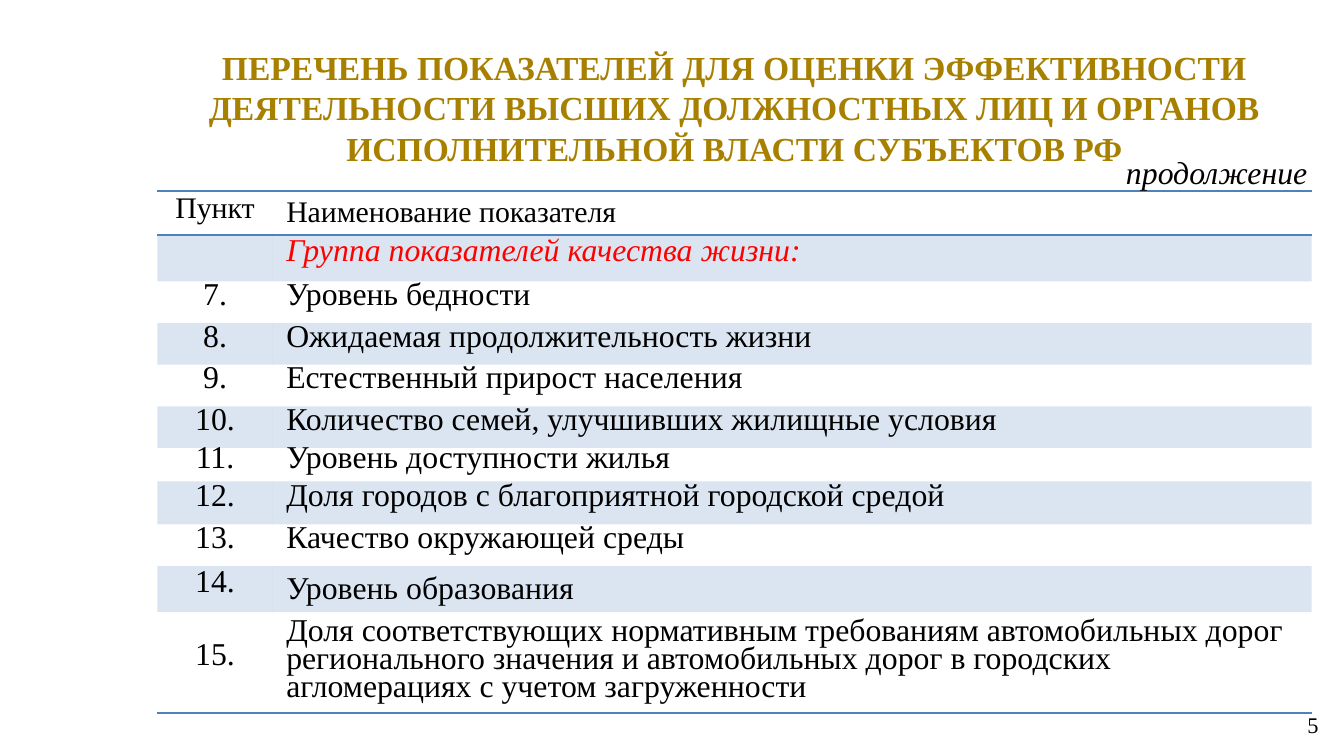
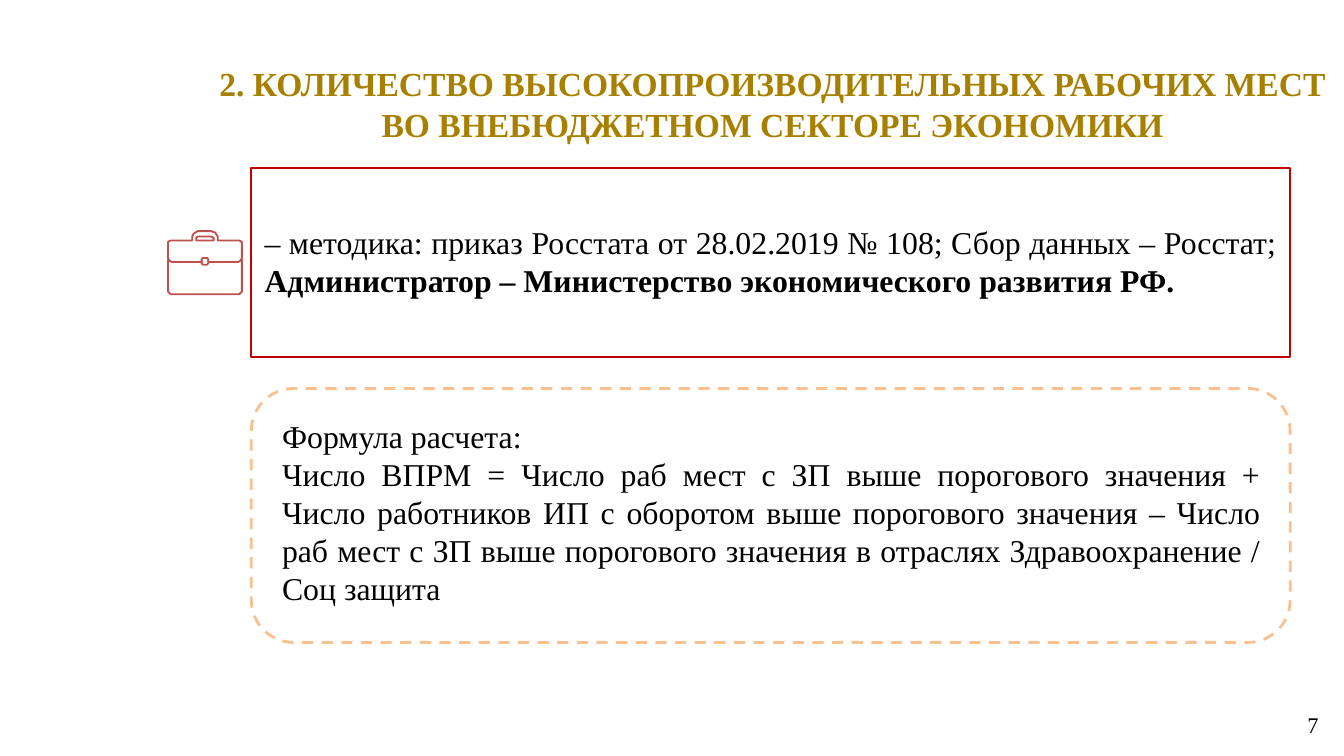
from dataclasses import dataclass

from lxml import etree
from pptx import Presentation
from pptx.dml.color import RGBColor
from pptx.enum.dml import MSO_LINE
from pptx.enum.shapes import MSO_SHAPE
from pptx.enum.text import MSO_ANCHOR, MSO_AUTO_SIZE, PP_ALIGN
from pptx.oxml.ns import qn
from pptx.util import Inches, Pt

LEFT, CENTER, JUSTIFY = PP_ALIGN.LEFT, PP_ALIGN.CENTER, PP_ALIGN.JUSTIFY
TOP, MIDDLE = MSO_ANCHOR.TOP, MSO_ANCHOR.MIDDLE
FIT = MSO_AUTO_SIZE.SHAPE_TO_FIT_TEXT
RECT, ROUND = MSO_SHAPE.RECTANGLE, MSO_SHAPE.ROUNDED_RECTANGLE
DASH = MSO_LINE.DASH
NO_STYLE = "{2D5ABB26-0587-4C30-8999-92F81FD0307C}"


@dataclass(frozen=True)
class Theme:
    font: str = "Times New Roman"
    gold: str = "A88000"
    black: str = "000000"
    white: str = "FFFFFF"
    red: str = "FF0000"
    frame: str = "C00000"
    peach: str = "FAC090"
    icon: str = "C0504D"
    blue: str = "4F81BD"
    tint: int = 20
    title: int = 18
    body: int = 17
    head: int = 16
    page: int = 12


THEME = Theme()

ROWS = [
    ("", "Группа показателей качества жизни:"),
    ("7.", "Уровень бедности"),
    ("8.", "Ожидаемая продолжительность жизни"),
    ("9.", "Естественный прирост населения"),
    ("10.", "Количество семей, улучшивших жилищные условия"),
    ("11.", "Уровень доступности жилья"),
    ("12.", "Доля городов с благоприятной городской средой"),
    ("13.", "Качество окружающей среды"),
    ("14.", "Уровень образования"),
    ("15.", "Доля соответствующих нормативным требованиям автомобильных дорог "
            "регионального значения и автомобильных дорог в городских "
            "агломерациях с учетом загруженности"),
]
HEIGHTS = [0.33, 0.34] + [0.31] * 4 + [0.25, 0.32, 0.31, 0.34, 0.75]

LID = [(178, 179), (162, 179), (162, 176), (160, 173), (157, 172),
       (147, 172), (144, 174), (143, 176), (143, 179), (127, 179),
       (125, 180), (125, 192), (126, 194), (128, 195), (150, 195),
       (150, 193), (151, 192), (154, 192), (155, 193), (155, 195),
       (177, 195), (179, 194), (180, 192), (180, 180)]
GRIP = [(159, 179), (146, 179), (146, 177), (147, 176), (157, 176),
        (159, 177)]
CLASP = [(155, 194), (155, 196), (154, 197), (151, 197), (150, 196),
         (150, 194)]
CASE = [(125, 193), (125, 217), (127, 219), (178, 219), (180, 217),
        (180, 193)]


def style(para, size, color=THEME.black, align=LEFT, bold=False,
          italic=False):
    para.alignment = align
    font = para.font
    font.name, font.size = THEME.font, Pt(size)
    font.bold, font.italic = bold, italic
    font.color.rgb = RGBColor.from_string(color)


def label(slide, box, paras, size, pad=(0.1, 0.05), grow=True, wrap=True,
          **look):
    frame = slide.shapes.add_textbox(*map(Inches, box)).text_frame
    frame.word_wrap = wrap
    frame.margin_left = frame.margin_right = Inches(pad[0])
    frame.margin_top = frame.margin_bottom = Inches(pad[1])
    if grow:
        frame.auto_size = FIT
    for i, runs in enumerate(paras):
        para = frame.add_paragraph() if i else frame.paragraphs[0]
        for text, bold in runs:
            run = para.add_run()
            run.text = text
            if bold:
                run.font.bold = True
        style(para, size, **look)


def title(slide, box, text):
    label(slide, box, [[(text, False)]], THEME.title, pad=(0.07, 0.04),
          grow=False, color=THEME.gold, align=CENTER, bold=True)


def number(slide, page):
    label(slide, (9.63, 5.24, 0.47, 0.3), [[(page, False)]], THEME.page)


def stroke(shape, color, width):
    shape.shadow.inherit = False
    shape.line.color.rgb = RGBColor.from_string(color)
    shape.line.width = Pt(width)


def panel(slide, kind, box, color, width, dash=None):
    shape = slide.shapes.add_shape(kind, *map(Inches, box))
    shape.fill.solid()
    shape.fill.fore_color.rgb = RGBColor.from_string(THEME.white)
    stroke(shape, color, width)
    if dash:
        shape.line.dash_style = dash


def outline(slide, paths, close):
    first, *rest = paths
    pen = slide.shapes.build_freeform(*first[0], scale=Inches(0.01))
    pen.add_line_segments(first[1:], close=close)
    for path in rest:
        pen.move_to(*path[0])
        pen.add_line_segments(path[1:], close=close)
    shape = pen.convert_to_shape()
    shape.fill.background()
    stroke(shape, THEME.icon, 1)


def border(cell, *sides):
    props = cell._tc.get_or_add_tcPr()
    for side in sides:
        line = etree.SubElement(props, qn("a:" + side), w=str(Pt(1)))
        fill = etree.SubElement(line, qn("a:solidFill"))
        etree.SubElement(fill, qn("a:srgbClr"), val=THEME.blue)


def shade(cell, tinted):
    if not tinted:
        cell.fill.background()
        return
    cell.fill.solid()
    cell.fill.fore_color.rgb = RGBColor.from_string(THEME.blue)
    color = next(cell._tc.tcPr.find(qn("a:solidFill")).iter(qn("a:srgbClr")))
    etree.SubElement(color, qn("a:alpha"), val=str(THEME.tint * 1000))


def write(cell, text, size, space=None, anchor=MIDDLE, **look):
    cell.margin_left = cell.margin_right = Inches(0.1)
    cell.margin_top = cell.margin_bottom = Inches(0.04)
    cell.vertical_anchor = anchor
    para = cell.text_frame.paragraphs[0]
    if text:
        para.text = text
    if space:
        para.line_spacing = Pt(space)
    style(para, size, **look)


def grid(slide):
    last = len(ROWS)
    frame = slide.shapes.add_table(
        last + 1, 2, Inches(1.17), Inches(1.42), Inches(8.59),
        Inches(sum(HEIGHTS)))
    next(frame.element.iter(qn("a:tableStyleId"))).text = NO_STYLE
    table = frame.table
    table.first_row = table.horz_banding = False
    for col, width in zip(table.columns, (0.86, 7.73)):
        col.width = Inches(width)
    for row, height in zip(table.rows, HEIGHTS):
        row.height = Inches(height)

    write(table.cell(0, 0), "Пункт", THEME.head, 13, align=CENTER)
    write(table.cell(0, 1), "Наименование показателя", THEME.head,
          anchor=TOP)
    spaces = {9: None, last: 15}
    for i, (point, name) in enumerate(ROWS, 1):
        group = i == 1
        write(table.cell(i, 0), point, THEME.body, 11, align=CENTER)
        write(table.cell(i, 1), name, THEME.body, spaces.get(i, 11),
              color=THEME.red if group else THEME.black, italic=group)

    edges = {0: ("lnT", "lnB"), last: ("lnB",)}
    for i in range(last + 1):
        for j in range(2):
            cell = table.cell(i, j)
            border(cell, *edges.get(i, ()))
            shade(cell, i % 2 == 1)


def list_slide(slide):
    grid(slide)
    number(slide, "5")
    title(slide, (1.17, 0.31, 8.59, 0.94),
          "ПЕРЕЧЕНЬ ПОКАЗАТЕЛЕЙ ДЛЯ ОЦЕНКИ ЭФФЕКТИВНОСТИ ДЕЯТЕЛЬНОСТИ "
          "ВЫСШИХ ДОЛЖНОСТНЫХ ЛИЦ И ОРГАНОВ ИСПОЛНИТЕЛЬНОЙ ВЛАСТИ "
          "СУБЪЕКТОВ РФ")
    label(slide, (8.28, 1.09, 1.56, 0.39), [[("продолжение", False)]],
          THEME.body, wrap=False, italic=True)


def jobs_slide(slide):
    panel(slide, ROUND, (1.87, 2.89, 7.73, 1.89), THEME.peach, 1.5, DASH)
    panel(slide, RECT, (1.87, 1.25, 7.73, 1.41), THEME.frame, 1)
    label(slide, (1.87, 1.61, 7.73, 0.67), [[
        ("– методика: приказ Росстата от 28.02.2019 № 108; "
         "Сбор данных – Росстат; ", False),
        ("Администратор – Министерство экономического развития РФ.", True),
    ]], THEME.body, align=JUSTIFY)
    label(slide, (2, 3.05, 7.48, 1.53), [
        [("Формула расчета:", False)],
        [("Число ВПРМ = Число раб мест с ЗП выше порогового значения + "
          "Число работников ИП с оборотом выше порогового значения – "
          "Число раб мест с ЗП выше порогового значения в отраслях "
          "Здравоохранение / Соц защита", False)],
    ], THEME.body, align=JUSTIFY)
    outline(slide, [LID, GRIP], True)
    outline(slide, [CLASP], False)
    outline(slide, [CASE], False)
    title(slide, (1.5, 0.43, 8.5, 0.51),
          "2. КОЛИЧЕСТВО ВЫСОКОПРОИЗВОДИТЕЛЬНЫХ РАБОЧИХ МЕСТ "
          "ВО ВНЕБЮДЖЕТНОМ СЕКТОРЕ ЭКОНОМИКИ")
    number(slide, "7")


def main():
    deck = Presentation()
    deck.slide_width = Inches(10)
    deck.slide_height = deck.slide_width * 9 // 16
    for build in (list_slide, jobs_slide):
        build(deck.slides.add_slide(deck.slide_layouts[6]))
    deck.save("out.pptx")


if __name__ == "__main__":
    main()
